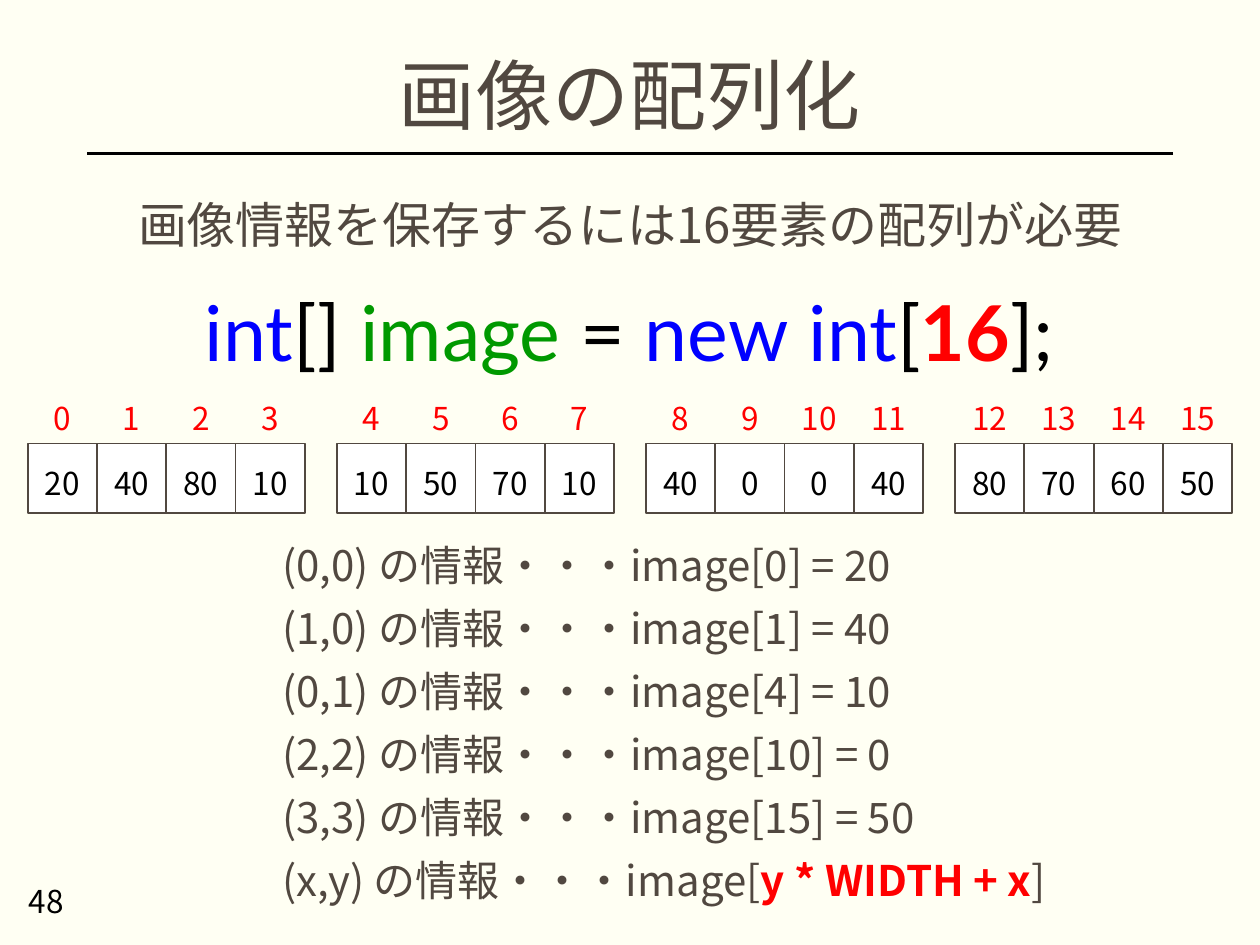
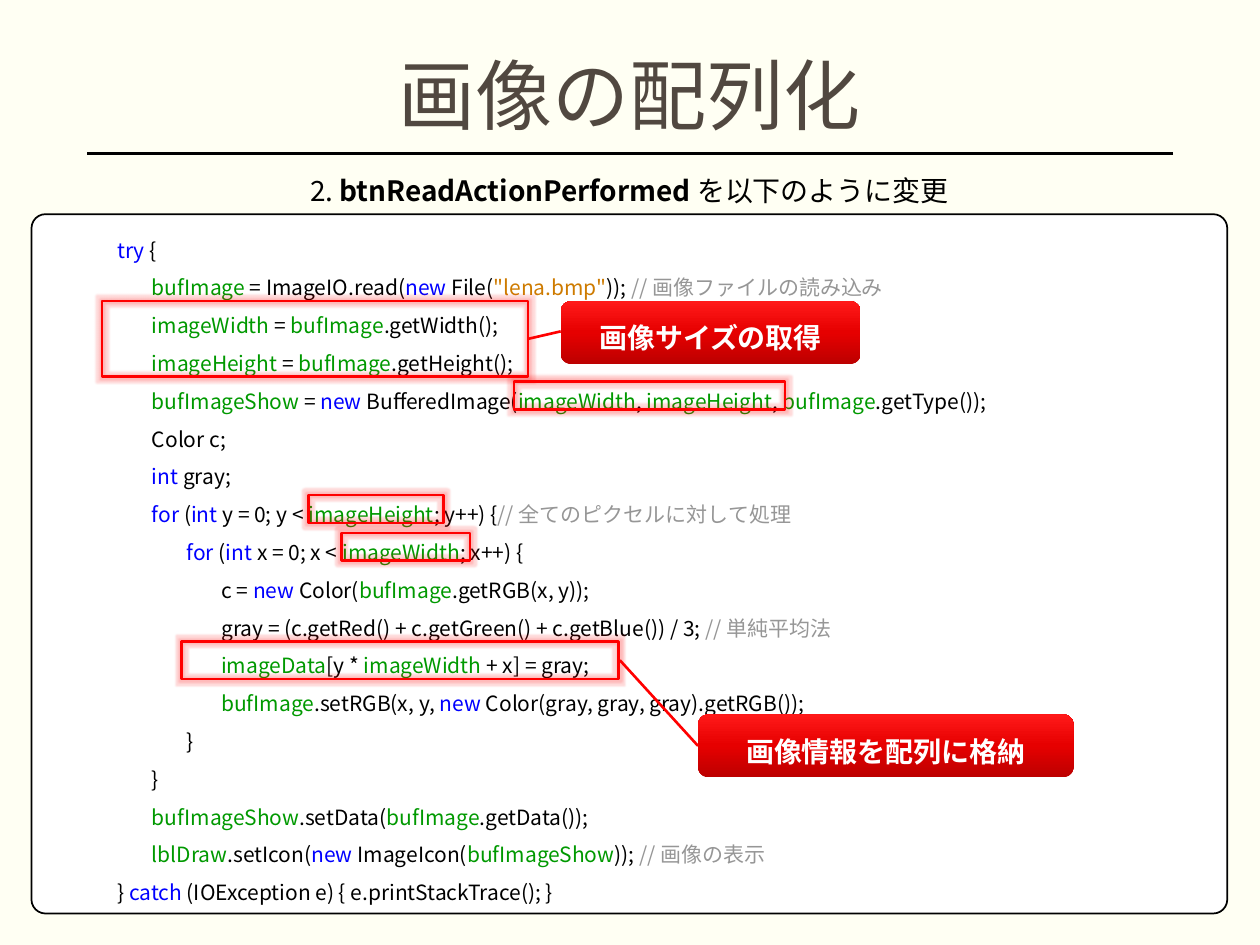
from copy import deepcopy
from itertools import groupby

from lxml.etree import SubElement as Sub
from pptx import Presentation
from pptx.dml.color import RGBColor
from pptx.enum.shapes import MSO_CONNECTOR as LINK, MSO_SHAPE as SHAPE
from pptx.enum.text import MSO_ANCHOR as ANCHOR, MSO_AUTO_SIZE as FIT, PP_ALIGN as ALIGN
from pptx.oxml.ns import qn
from pptx.util import Inches, Pt

# Shared look
PAPER = RGBColor(0xFF, 0xFF, 0xF3)
WHITE = RGBColor(0xFF, 0xFF, 0xFF)
BLACK = RGBColor(0, 0, 0)
BROWN = RGBColor(0x51, 0x48, 0x40)
RED = RGBColor(0xFF, 0, 0)
BLUE = RGBColor(0, 0, 0xFF)
GREEN = RGBColor(0, 0x99, 0)
AMBER = RGBColor(0xCE, 0x7B, 0)
GRAY = RGBColor(0x96, 0x96, 0x96)
SHADES = [RGBColor(0xBC, 0, 0), RGBColor(0xE6, 0, 0), RGBColor(0xFF, 0x19, 0x19)]
FONT, LATIN = "Noto Sans CJK JP", "Lato"
TITLE = "画像の配列化"

# Colours of words in code
HUES = {
    **dict.fromkeys("try new int for catch".split(), BLUE),
    **dict.fromkeys("image bufImage bufImageShow imageWidth imageHeight "
                    "imageData lblDraw".split(), GREEN),
    "16": RED,
}

# Slide 1: array cells and what they hold
PIXELS = [20, 40, 80, 10, 10, 50, 70, 10, 40, 0, 0, 40, 80, 70, 60, 50]
SPOTS = [(0, 0), (1, 0), (0, 1), (2, 2), (3, 3)]
SIDE = 4
CELL, LEFT, RIGHT = 0.55, 0.22, 9.78

# Slide 2: indent level and code
TAB = 1.1 / 4
CODE = [
    (2, 'try {'),
    (3, 'bufImage = ImageIO.read(new File("lena.bmp")); // 画像ファイルの読み込み'),
    (3, 'imageWidth = bufImage.getWidth();'),
    (3, 'imageHeight = bufImage.getHeight();'),
    (3, 'bufImageShow = new BufferedImage(imageWidth, imageHeight, bufImage.getType());'),
    (3, 'Color c;'),
    (3, 'int gray;'),
    (3, 'for (int y = 0; y < imageHeight; y++) {// 全てのピクセルに対して処理'),
    (4, 'for (int x = 0; x < imageWidth; x++) {'),
    (5, 'c = new Color(bufImage.getRGB(x, y));'),
    (5, 'gray = (c.getRed() + c.getGreen() + c.getBlue()) / 3; // 単純平均法'),
    (5, 'imageData[y * imageWidth + x] = gray;'),
    (5, 'bufImage.setRGB(x, y, new Color(gray, gray, gray).getRGB());'),
    (4, '}'),
    (3, '}'),
    (3, 'bufImageShow.setData(bufImage.getData());'),
    (3, 'lblDraw.setIcon(new ImageIcon(bufImageShow)); // 画像の表示'),
    (2, '} catch (IOException e) { e.printStackTrace(); }'),
]
MARKS = [(0.81, 2.39, 3.38, 0.6), (4.08, 3.03, 2.15, 0.22), (2.45, 3.93, 1.07, 0.22),
         (2.71, 4.23, 1.02, 0.22), (1.44, 5.09, 3.47, 0.3)]
NOTES = [("画像サイズの取得", (4.45, 2.39, 2.38, 0.5), (4.45, 2.63, 4.19, 2.69)),
         ("画像情報を配列に格納", (5.54, 5.67, 2.98, 0.5), (5.54, 5.92, 4.92, 5.24))]


# Text
def style(obj, **vals):
    for key, val in vals.items():
        setattr(obj, key, val)


def write(par, text, size, color=BLACK, bold=False, latin=FONT):
    run = par.add_run()
    run.text = text
    style(run.font, size=Pt(size), bold=bold, name=latin)
    run.font.color.rgb = color
    Sub(run.font._element, qn("a:ea"), typeface=FONT)


def frame(shape, inset=(0.1, 0.05, 0.1, 0.05), anchor=ANCHOR.TOP):
    box = shape.text_frame
    sides = ("margin_left", "margin_top", "margin_right", "margin_bottom")
    style(box, word_wrap=True, auto_size=FIT.NONE, vertical_anchor=anchor,
          **{side: Inches(gap) for side, gap in zip(sides, inset)})
    return box


def place(shape, spot):
    style(shape, **dict(zip(("left", "top", "width", "height"), map(Inches, spot))))


def label(slide, spot, text, size, color=BLACK, align=ALIGN.LEFT, **frm):
    par = frame(slide.shapes.add_textbox(*map(Inches, spot)), **frm).paragraphs[0]
    par.alignment = align
    if text:
        write(par, text, size, color)
    return par


def tint(code):
    """Split one line of code into (text, colour) pieces."""
    body, slash, note = code.partition("//")
    parts = []
    for num, part in enumerate(body.split('"')):
        if num % 2:
            parts.append((f'"{part}"', AMBER))
        else:
            words = ("".join(chars) for _, chars in groupby(part, str.isalnum))
            parts += [(word, HUES.get(word, BLACK)) for word in words]
    return parts + [(slash + note, GRAY)] if slash else parts


def write_code(par, code, size, latin=FONT):
    for color, parts in groupby(tint(code), lambda part: part[1]):
        text = "".join(part[0] for part in parts)
        write(par, text, size, color, color == RED, latin)


# Shapes
def block(slide, kind, spot, fill=None, line=None, width=1):
    shape = slide.shapes.add_shape(kind, *map(Inches, spot))
    shape.shadow.inherit = False
    if fill is None:
        shape.fill.background()
    else:
        shape.fill.solid()
        shape.fill.fore_color.rgb = fill
    if line is None:
        shape.line.fill.background()
    else:
        shape.line.color.rgb = line
        shape.line.width = Pt(width)
    return shape


def wire(slide, ends, color, width):
    line = slide.shapes.add_connector(LINK.STRAIGHT, *map(Inches, ends))
    line.line.color.rgb = color
    line.line.width = Pt(width)
    Sub(line._element.spPr, qn("a:effectLst"))


def mark(slide, spot):
    shape = block(slide, SHAPE.RECTANGLE, spot, line=RED, width=1.5)
    glow = Sub(shape._element.spPr.find(qn("a:effectLst")), qn("a:glow"), rad=str(Pt(2)))
    hue = Sub(glow, qn("a:srgbClr"), val=str(RED))
    Sub(hue, qn("a:alpha"), val="15000")


def note(slide, text, spot, ends):
    shape = block(slide, SHAPE.ROUNDED_RECTANGLE, spot)
    shape.fill.gradient()
    shape.fill.gradient_angle = 90
    stops = shape.fill._xPr.find(qn("a:gradFill")).find(qn("a:gsLst"))
    stops.insert(1, deepcopy(stops[0]))
    for num, (stop, shade) in enumerate(zip(shape.fill.gradient_stops, SHADES)):
        stop.position = num / 2
        stop.color.rgb = shade
    par = frame(shape, (0, 0.08, 0, 0), ANCHOR.MIDDLE).paragraphs[0]
    par.alignment = ALIGN.CENTER
    write(par, text, 16, WHITE, True)
    wire(slide, ends, RED, 1.5)


def start(prs, layout):
    slide = prs.slides.add_slide(prs.slide_layouts[layout])
    wire(slide, (9.31, 1.22, 0.69, 1.22), BLACK, 2)
    title = slide.shapes.title
    place(title, (0.69, 0.36, 8.62, 0.86))
    par = frame(title, anchor=ANCHOR.MIDDLE).paragraphs[0]
    style(par, alignment=ALIGN.CENTER, line_spacing=0.9)
    write(par, TITLE, 44, BROWN)
    return slide


# Slide 1
def cells(slide):
    gap = (RIGHT - LEFT - len(PIXELS) * CELL) / (SIDE - 1)
    inset = (0.1, 0.12, 0.1, 0.05)
    for num, value in enumerate(PIXELS):
        x = LEFT + num * CELL + num // SIDE * gap
        cell = block(slide, SHAPE.RECTANGLE, (x, 3.52, CELL, CELL), WHITE, BROWN)
        par = frame(cell, inset, ANCHOR.MIDDLE).paragraphs[0]
        par.alignment = ALIGN.CENTER
        write(par, str(value), 18)
        label(slide, (x, 3.01, CELL, CELL), str(num), 18, RED, ALIGN.CENTER,
              inset=inset, anchor=ANCHOR.MIDDLE)


def lookup(slide):
    body = slide.placeholders[1]
    place(body, (2.14, 4.28, 7.29, 2.86))
    box = frame(body)
    for num in range(len(SPOTS) + 1):
        par = box.add_paragraph() if num else box.paragraphs[0]
        props = par._p.get_or_add_pPr()
        props.set("marL", "0")
        props.set("indent", "0")
        Sub(props, qn("a:buNone"))
        style(par, line_spacing=0.9, space_before=Pt(10 if num else 0))
        if num < len(SPOTS):
            x, y = SPOTS[num]
            spot = y * SIDE + x
            write(par, f"({x},{y}) の情報・・・image[{spot}] = {PIXELS[spot]}", 24, BROWN)
        else:
            write(par, "(x,y) の情報・・・image[", 24, BROWN)
            write(par, "y * WIDTH + x", 24, RED, True)
            write(par, "]", 24, BROWN)


# Slide 2
def listing(slide):
    panel = block(slide, SHAPE.ROUNDED_RECTANGLE, (0.25, 1.7, 9.49, 5.55), WHITE, BLACK)
    panel.adjustments[0] = 0.02
    box = frame(panel)
    for num, (depth, code) in enumerate(CODE):
        par = box.add_paragraph() if num else box.paragraphs[0]
        tabs = Sub(par._p.get_or_add_pPr(), qn("a:tabLst"))
        for stop in range(1, depth + 1):
            Sub(tabs, qn("a:tab"), pos=str(Inches(TAB * stop)), algn="l")
        style(par, alignment=ALIGN.LEFT, line_spacing=1.5)
        write(par, "\t" * depth, 12)
        write_code(par, code, 12)


def main():
    prs = Presentation()
    style(prs, slide_width=Inches(10), slide_height=Inches(7.5))
    back = prs.slide_master.background.fill
    back.solid()
    back.fore_color.rgb = PAPER

    slide = start(prs, 1)
    label(slide, (0.13, 6.95, 2.25, 0.4), "48", 18)
    lookup(slide)
    cells(slide)
    par = label(slide, (0.19, 2.21, 9.61, 0.84), "", 44, align=ALIGN.CENTER)
    write_code(par, "int[] image = new int[16];", 44, LATIN)
    par = label(slide, (0.69, 1.55, 8.62, 1.04), "画像情報を保存するには16要素の配列が必要",
                28, BROWN, ALIGN.CENTER)
    par.line_spacing = 0.9

    slide = start(prs, 5)
    listing(slide)
    par = label(slide, (0.6, 1.33, 8.79, 0.37), "2. ", 16, align=ALIGN.CENTER)
    write(par, "btnReadActionPerformed ", 16, bold=True)
    write(par, "を以下のように変更", 16)
    for spot in MARKS:
        mark(slide, spot)
    for text, spot, ends in NOTES:
        note(slide, text, spot, ends)

    prs.save("out.pptx")


if __name__ == "__main__":
    main()
